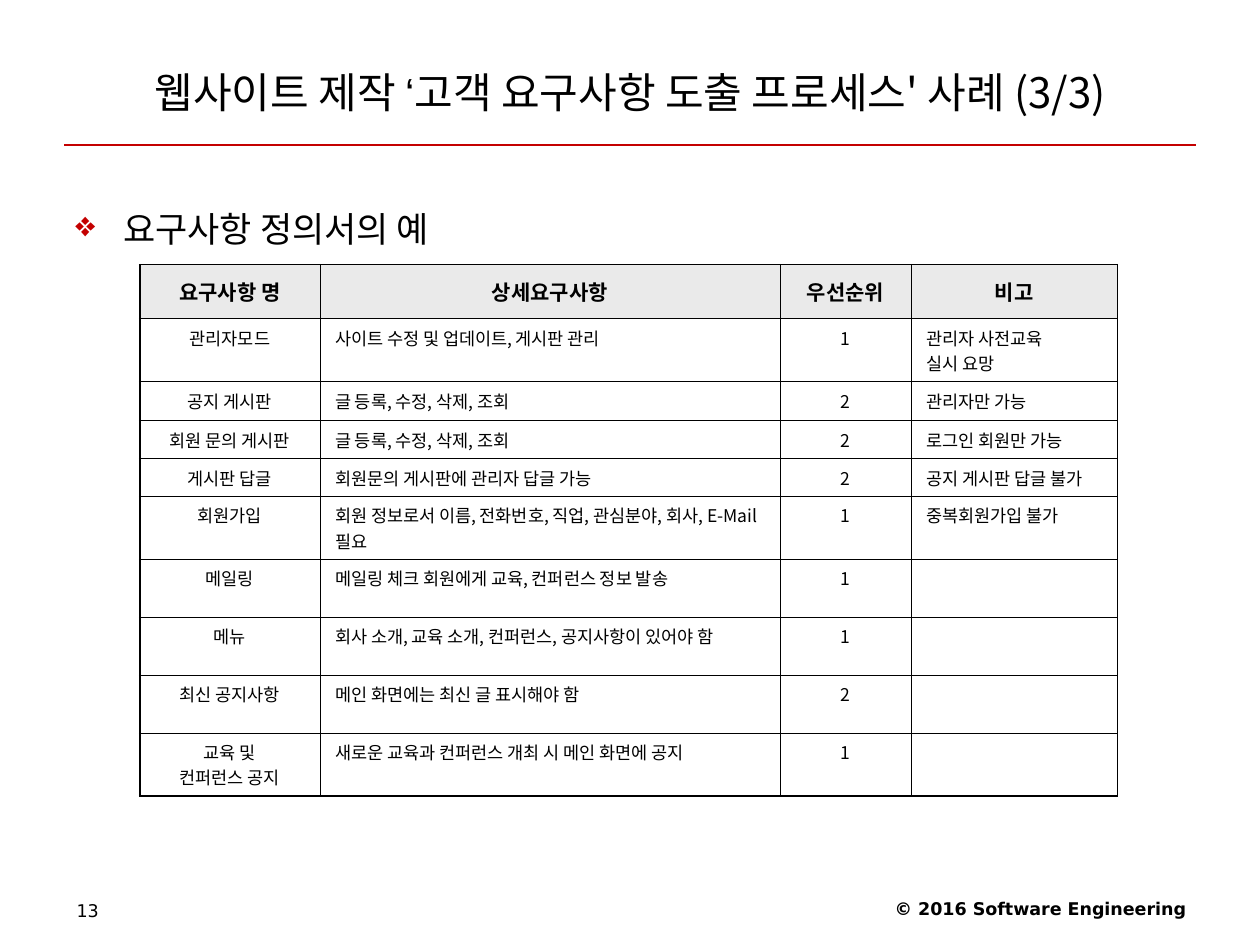
from dataclasses import dataclass

from lxml.etree import SubElement
from pptx import Presentation
from pptx.dml.color import RGBColor
from pptx.enum.shapes import MSO_CONNECTOR
from pptx.enum.text import MSO_ANCHOR, MSO_AUTO_SIZE, PP_ALIGN
from pptx.oxml.ns import qn
from pptx.util import Inches, Pt


@dataclass(frozen=True)
class Theme:
    ink: str = "000000"
    accent: str = "C40000"
    header_fill: str = "EAEAEA"
    korean_font: str = "Noto Sans CJK KR"
    quote_font: str = "Arial"
    footer_font: str = "DejaVu Sans"
    title_size: int = 24
    heading_size: int = 20
    header_size: int = 12
    small_size: int = 10
    outer_border: float = 1.08
    inner_border: float = 0.45
    rule_width: float = 0.75


TITLE_RUNS = [
    ("웹사이트 제작 ", Theme.korean_font),
    ("‘", Theme.quote_font),
    ("고객 요구사항 도출 프로세스' 사례 (3/3)", Theme.korean_font),
]
REQUIREMENTS = [
    ("요구사항 명", "상세요구사항", "우선순위", "비고"),
    ("관리자모드", "사이트 수정 및 업데이트, 게시판 관리", "1", "관리자 사전교육\n실시 요망"),
    ("공지 게시판", "글 등록, 수정, 삭제, 조회", "2", "관리자만 가능"),
    ("회원 문의 게시판", "글 등록, 수정, 삭제, 조회", "2", "로그인 회원만 가능"),
    ("게시판 답글", "회원문의 게시판에 관리자 답글 가능", "2", "공지 게시판 답글 불가"),
    ("회원가입", "회원 정보로서 이름, 전화번호, 직업, 관심분야, 회사, E-Mail 필요", "1", "중복회원가입 불가"),
    ("메일링", "메일링 체크 회원에게 교육, 컨퍼런스 정보 발송", "1", ""),
    ("메뉴", "회사 소개, 교육 소개, 컨퍼런스, 공지사항이 있어야 함", "1", ""),
    ("최신 공지사항", "메인 화면에는 최신 글 표시해야 함", "2", ""),
    ("교육 및\n컨퍼런스 공지", "새로운 교육과 컨퍼런스 개최 시 메인 화면에 공지", "1", ""),
]
COLUMN_WIDTHS = [1.43, 3.65, 1.04, 1.64]
ROW_HEIGHTS = [0.43, 0.5, 0.31, 0.3, 0.3, 0.5, 0.46, 0.46, 0.46, 0.5]
COLUMN_ALIGNMENTS = [PP_ALIGN.CENTER, PP_ALIGN.LEFT, PP_ALIGN.CENTER, PP_ALIGN.LEFT]


def apply_format(target, values):
    for name, value in values.items():
        setattr(target, name, value)


class SlideBuilder:
    def __init__(self, slide, theme):
        self.slide = slide
        self.theme = theme

    def add_run(self, paragraph, text, size, font_name, bold=False):
        run = paragraph.add_run()
        run.text = text
        apply_format(run.font, {"size": Pt(size), "name": font_name, "bold": bold})
        run.font.color.rgb = RGBColor.from_string(self.theme.ink)
        SubElement(run.font._element, qn("a:ea"), typeface=font_name)

    def add_title(self, runs, left, top, width, height):
        title = self.slide.shapes.title
        apply_format(title, {
            "left": Inches(left), "top": Inches(top),
            "width": Inches(width), "height": Inches(height),
        })
        apply_format(title.text_frame, {
            "vertical_anchor": MSO_ANCHOR.MIDDLE,
            "auto_size": MSO_AUTO_SIZE.NONE,
            "word_wrap": True,
        })
        paragraph = title.text_frame.paragraphs[0]
        paragraph.alignment = PP_ALIGN.CENTER
        for text, font_name in runs:
            self.add_run(paragraph, text, self.theme.title_size, font_name)

    def add_rule(self, left, right, height):
        rule = self.slide.shapes.add_connector(
            MSO_CONNECTOR.STRAIGHT,
            Inches(left), Inches(height), Inches(right), Inches(height),
        )
        rule.line.color.rgb = RGBColor.from_string(self.theme.accent)
        rule.line.width = Pt(self.theme.rule_width)
        SubElement(rule._element.spPr, qn("a:effectLst"))

    def add_text(self, text, box, size, font_name, alignment=PP_ALIGN.LEFT, bold=False):
        shape = self.slide.shapes.add_textbox(*(Inches(length) for length in box))
        shape.text_frame.word_wrap = True
        paragraph = shape.text_frame.paragraphs[0]
        paragraph.alignment = alignment
        self.add_run(paragraph, text, size, font_name, bold)
        return shape

    def add_bullet_heading(self, text, box):
        shape = self.add_text(text, box, self.theme.heading_size, self.theme.korean_font)
        shape.text_frame.margin_top = Inches(0.12)
        paragraph = shape.text_frame.paragraphs[0]
        paragraph.line_spacing = 1.4
        properties = paragraph._p.get_or_add_pPr()
        properties.set("marL", str(Inches(0.38)))
        properties.set("indent", str(Inches(-0.38)))
        bullet_color = SubElement(properties, qn("a:buClr"))
        SubElement(bullet_color, qn("a:srgbClr"), val=self.theme.accent)
        SubElement(properties, qn("a:buChar"), char="❖")

    def add_border(self, cell, side, width):
        border = SubElement(cell._tc.get_or_add_tcPr(), qn(f"a:ln{side}"), w=str(Pt(width)))
        fill = SubElement(border, qn("a:solidFill"))
        SubElement(fill, qn("a:srgbClr"), val=self.theme.ink)

    def fill_cell(self, cell, text, alignment, is_header):
        apply_format(cell, {
            "margin_left": Inches(0.12), "margin_right": Inches(0.12),
            "margin_top": Inches(0.05), "margin_bottom": Inches(0.05),
            "vertical_anchor": MSO_ANCHOR.MIDDLE if is_header else MSO_ANCHOR.TOP,
        })
        if is_header:
            cell.fill.solid()
            cell.fill.fore_color.rgb = RGBColor.from_string(self.theme.header_fill)
        else:
            cell.fill.background()
        if not text:
            return
        size = self.theme.header_size if is_header else self.theme.small_size
        frame = cell.text_frame
        for index, line in enumerate(text.split("\n")):
            paragraph = frame.add_paragraph() if index else frame.paragraphs[0]
            paragraph.alignment = PP_ALIGN.CENTER if is_header else alignment
            self.add_run(paragraph, line, size, self.theme.korean_font, is_header)

    def add_table(self, rows, left, top):
        last_row, last_column = len(rows) - 1, len(COLUMN_WIDTHS) - 1
        table = self.slide.shapes.add_table(
            len(rows), len(COLUMN_WIDTHS), Inches(left), Inches(top),
            Inches(sum(COLUMN_WIDTHS)), Inches(sum(ROW_HEIGHTS)),
        ).table
        apply_format(table, {"first_row": False, "horz_banding": False})
        for column, width in zip(table.columns, COLUMN_WIDTHS):
            column.width = Inches(width)
        for row, height in zip(table.rows, ROW_HEIGHTS):
            row.height = Inches(height)
        for row_index, texts in enumerate(rows):
            for column_index, text in enumerate(texts):
                cell = table.cell(row_index, column_index)
                outer_sides = {
                    "L": column_index == 0, "R": column_index == last_column,
                    "T": row_index == 0, "B": row_index == last_row,
                }
                for side, is_outer in outer_sides.items():
                    width = self.theme.outer_border if is_outer else self.theme.inner_border
                    self.add_border(cell, side, width)
                self.fill_cell(cell, text, COLUMN_ALIGNMENTS[column_index], row_index == 0)


def main():
    presentation = Presentation()
    presentation.slide_width = Inches(10)
    presentation.slide_height = Inches(7.5)
    theme = Theme()
    builder = SlideBuilder(presentation.slides.add_slide(presentation.slide_layouts[5]), theme)
    builder.add_rule(0.51, 9.49, 1.15)
    builder.add_text("© 2016 Software Engineering", (6.34, 7.08, 3.17, 0.29),
                     theme.small_size, theme.footer_font, PP_ALIGN.RIGHT, True)
    builder.add_text("13", (0.51, 7.09, 2.33, 0.28), theme.small_size, theme.footer_font)
    builder.add_title(TITLE_RUNS, 0.5, 0.3, 9, 0.85)
    builder.add_bullet_heading("요구사항 정의서의 예", (0.5, 1.39, 9, 5.51))
    builder.add_table(REQUIREMENTS, 1.11, 2.1)
    presentation.save("out.pptx")


if __name__ == "__main__":
    main()
